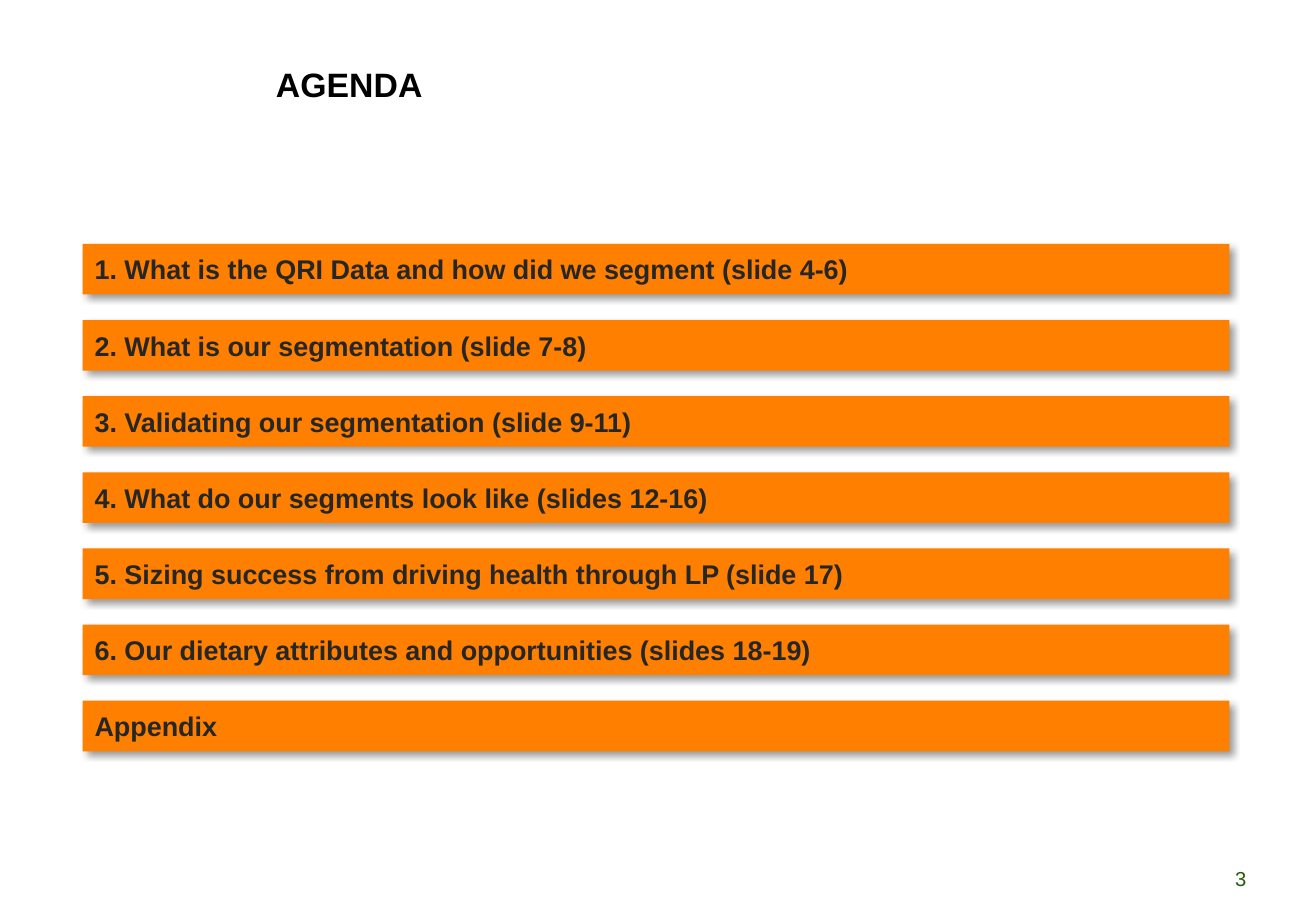
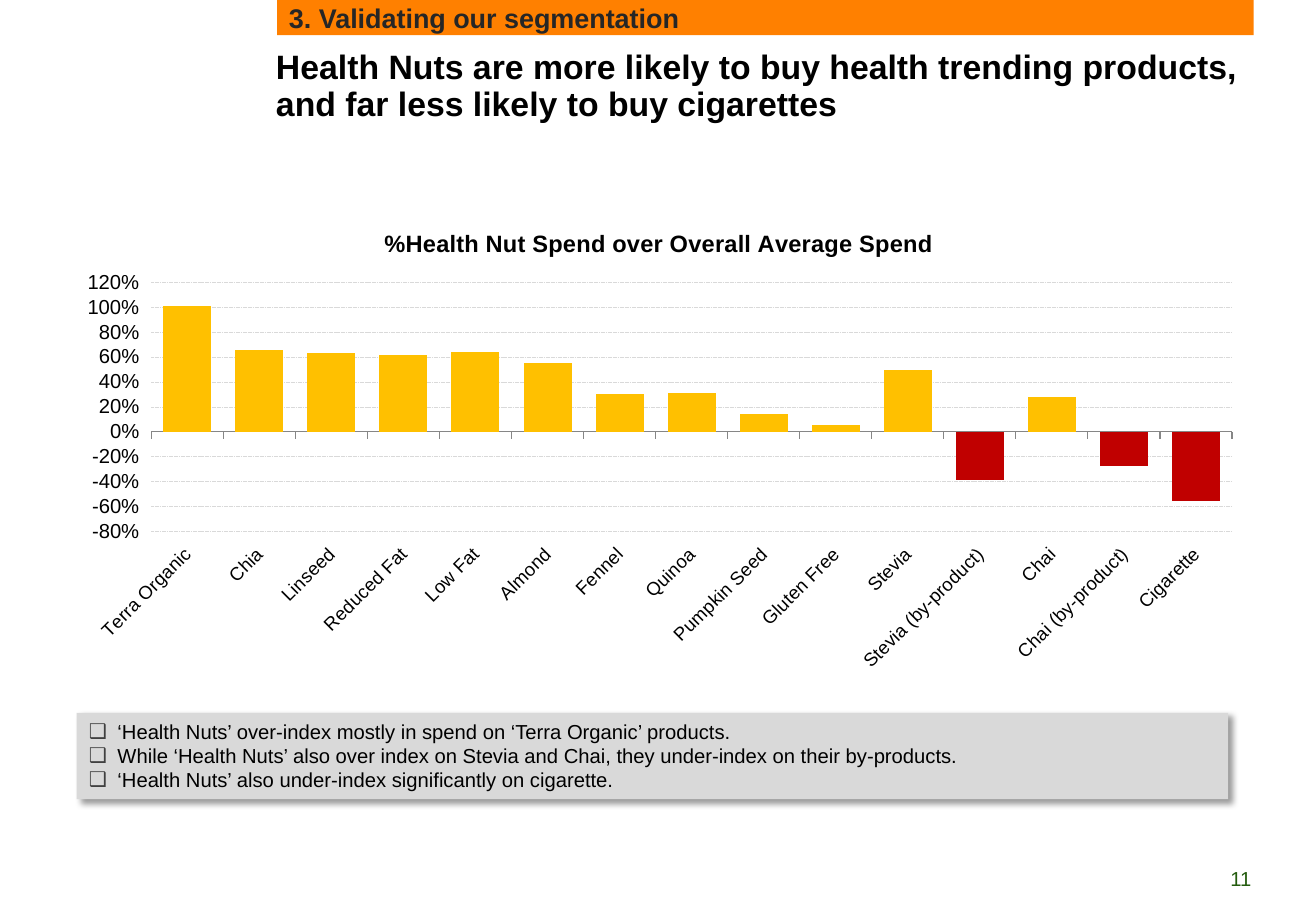
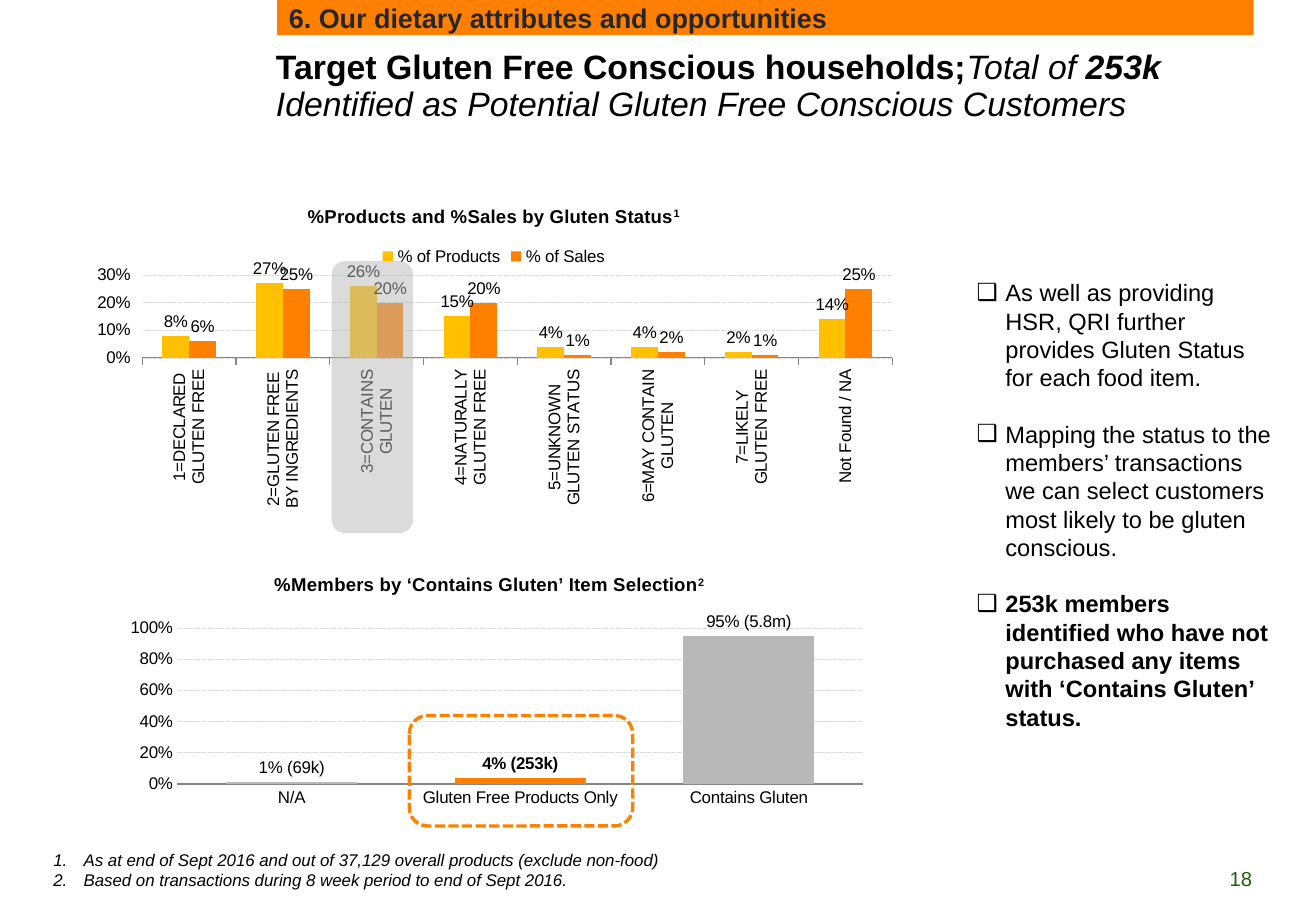
from lxml import etree
from pptx import Presentation
from pptx.chart.data import CategoryChartData
from pptx.dml.color import RGBColor
from pptx.enum.chart import XL_CHART_TYPE, XL_LABEL_POSITION, XL_LEGEND_POSITION
from pptx.enum.chart import XL_TICK_LABEL_POSITION, XL_TICK_MARK
from pptx.enum.dml import MSO_LINE
from pptx.enum.shapes import MSO_SHAPE
from pptx.enum.text import MSO_ANCHOR, MSO_AUTO_SIZE, PP_ALIGN
from pptx.oxml.ns import qn
from pptx.util import Pt

# Enum members
COLUMNS = XL_CHART_TYPE.COLUMN_CLUSTERED
OUTSIDE_END = XL_LABEL_POSITION.OUTSIDE_END
LEGEND_TOP = XL_LEGEND_POSITION.TOP
LABELS_LOW = XL_TICK_LABEL_POSITION.LOW
LABELS_NEXT = XL_TICK_LABEL_POSITION.NEXT_TO_AXIS
TICK_NONE, TICK_OUTSIDE = XL_TICK_MARK.NONE, XL_TICK_MARK.OUTSIDE
DASHED = MSO_LINE.SQUARE_DOT
RECTANGLE, ROUNDED = MSO_SHAPE.RECTANGLE, MSO_SHAPE.ROUNDED_RECTANGLE
TOP, MIDDLE = MSO_ANCHOR.TOP, MSO_ANCHOR.MIDDLE
LEFT, CENTER = PP_ALIGN.LEFT, PP_ALIGN.CENTER
NO_AUTOFIT = MSO_AUTO_SIZE.NONE

# Shared look
FONT = "Arial"
ORANGE, YELLOW, RED = "FF8000", "FFC000", "C00000"
BLACK, CHARCOAL, GREEN = "000000", "262626", "245C0E"
SILVER, LIGHT, AXIS = "B8B8B8", "D9D9D9", "868686"
TITLE_BOX = (163.6, 0, 581.8, 103)
SECTION_BOX = (164.2, 0, 578.9, 20.9)
NUMBER_BOX = (715.3, 513.4, 40.3, 14.4)
TITLE_STYLE = {"size": 20, "color": BLACK, "bold": True}
BAND_STYLE = {"size": 16, "color": CHARCOAL, "bold": True}
NUMBER_STYLE = {"size": 12, "color": GREEN}
TITLE_ONLY, TITLE_AND_BODY = 5, 1
SHADOW = {"blurRad": Pt(4), "dist": Pt(3), "dir": 45 * 60000, "algn": "tl", "rotWithShape": 0}


def rgb(value):
    return RGBColor.from_string(value)


def add_xml(parent, tag, **attributes):
    child = etree.SubElement(parent, qn(tag))
    for name, value in attributes.items():
        child.set(name, str(value))
    return child


# Text
def format_font(font, size=None, color=None, **flags):
    values = {"name": FONT, **flags}
    if size:
        values["size"] = Pt(size)
    for name, value in values.items():
        setattr(font, name, value)
    if color:
        font.color.rgb = rgb(color)


def add_spans(para, spans, style):
    """Spans are one string, or pairs of text and changed format values."""
    if isinstance(spans, str):
        spans = [(spans, {})]
    for text, changes in spans:
        values = {**style, **changes}
        raised = values.pop("raised", False)
        span = para.add_run()
        span.text = text
        format_font(span.font, **values)
        if raised:
            span.font._element.set("baseline", "30000")


def add_bullet(para, bullet, indent, color):
    properties = para._p.get_or_add_pPr()
    properties.set("marL", str(Pt(indent)))
    properties.set("indent", str(-Pt(indent)))
    if color:
        add_xml(add_xml(properties, "a:buClr"), "a:srgbClr", val=color)
    add_xml(properties, "a:buFont", typeface=FONT)
    if bullet == "number":
        add_xml(properties, "a:buAutoNum", type="arabicPeriod")
    else:
        add_xml(properties, "a:buChar", char=bullet)


def write(box, paragraphs, style, anchor=TOP, align=LEFT, inset=True, gap=0,
          spacing=1.0, bullet=None, indent=17, bullet_color=None):
    frame = box.text_frame
    settings = {"word_wrap": True, "auto_size": NO_AUTOFIT, "vertical_anchor": anchor}
    for side in ("left", "right", "top", "bottom"):
        wide = side in ("left", "right")
        settings["margin_" + side] = Pt((7.2 if wide else 3.6) if inset else 0)
    for name, value in settings.items():
        setattr(frame, name, value)
    for index, spans in enumerate(paragraphs):
        para = frame.add_paragraph() if index else frame.paragraphs[0]
        para.alignment = align
        para.line_spacing = spacing
        para.space_before = Pt(gap if index else 0)
        if bullet:
            add_bullet(para, bullet, indent, bullet_color)
        add_spans(para, spans, style)


# Boxes
def place(item, box):
    for name, value in zip(("left", "top", "width", "height"), box):
        setattr(item, name, Pt(value))


def points(box):
    return [Pt(value) for value in box]


def paint(shape, fill=None, shadow=False):
    if fill:
        shape.fill.solid()
        shape.fill.fore_color.rgb = rgb(fill)
    else:
        shape.fill.background()
    shape.line.fill.background()
    shape.shadow.inherit = False
    if shadow:
        effects = shape._element.spPr.find(qn("a:effectLst"))
        color = add_xml(add_xml(effects, "a:outerShdw", **SHADOW), "a:srgbClr", val=BLACK)
        add_xml(color, "a:alpha", val=40000)


def add_band(page, box, text, shadow=False):
    band = page.shapes.add_shape(RECTANGLE, *points(box))
    paint(band, ORANGE, shadow)
    write(band, [text], BAND_STYLE, anchor=MIDDLE)


def add_text(page, box, paragraphs, style, **layout):
    write(page.shapes.add_textbox(*points(box)), paragraphs, style, **layout)


def add_list(page, box, paragraphs, style, fill=None, **layout):
    body = page.placeholders[1]
    place(body, box)
    if fill:
        paint(body, fill, shadow=True)
    write(body, paragraphs, style, bullet="❑", **layout)


def add_veil(page, box):
    veil = page.shapes.add_shape(ROUNDED, *points(box))
    paint(veil, SILVER)
    color = veil._element.spPr.find(".//" + qn("a:srgbClr"))
    add_xml(color, "a:alpha", val=50000)


def add_dashed_frame(page, box):
    frame = page.shapes.add_shape(ROUNDED, *points(box))
    paint(frame)
    frame.line.color.rgb = rgb(ORANGE)
    frame.line.width = Pt(2)
    frame.line.dash_style = DASHED


def add_page(deck, layout, title, number, section=None):
    page = deck.slides.add_slide(deck.slide_layouts[layout])
    place(page.shapes.title, TITLE_BOX)
    write(page.shapes.title, [title], TITLE_STYLE, anchor=MIDDLE, inset=False, spacing=0.9)
    if section:
        add_band(page, SECTION_BOX, section)
    add_text(page, NUMBER_BOX, [str(number)], NUMBER_STYLE,
             anchor=MIDDLE, align=CENTER, inset=False)
    return page


# Charts
def set_plot_area(chart, area):
    plot_area = chart._chartSpace.chart.plotArea
    for old in plot_area.findall(qn("c:layout")):
        plot_area.remove(old)
    layout = etree.Element(qn("c:layout"))
    plot_area.insert(0, layout)
    manual = add_xml(layout, "c:manualLayout")
    add_xml(manual, "c:layoutTarget", val="inner")
    for name in ("xMode", "yMode"):
        add_xml(manual, "c:" + name, val="edge")
    for name, value in zip("xywh", area):
        add_xml(manual, "c:" + name, val=value)


def format_axes(chart, scale, sizes, rotation, ticks, line_width, label_position):
    values, categories = chart.value_axis, chart.category_axis
    low, high, step = scale
    settings = {"minimum_scale": low, "maximum_scale": high, "major_unit": step,
                "major_tick_mark": ticks, "has_major_gridlines": True}
    for name, value in settings.items():
        setattr(values, name, value)
    values.tick_labels.number_format = "0%"
    values.tick_labels.number_format_is_linked = False
    values.format.line.fill.background()
    grid = values.major_gridlines.format.line
    grid.color.rgb = rgb(LIGHT)
    grid.width = Pt(0.25)
    grid.dash_style = DASHED
    categories.major_tick_mark = ticks
    categories.tick_label_position = label_position
    categories.format.line.color.rgb = rgb(AXIS)
    categories.format.line.width = Pt(line_width)
    for axis, size in zip((categories, values), sizes):
        format_font(axis.tick_labels.font, size, BLACK)
    label_body = categories._element.find(qn("c:txPr")).find(qn("a:bodyPr"))
    label_body.set("rot", str(rotation * 60000))
    label_body.set("vert", "horz")


def add_column_chart(page, box, title, categories, series, area, scale, title_size=11,
                     sizes=(10, 10), rotation=0, gap=150, ticks=TICK_OUTSIDE,
                     line_width=0.75, label_position=LABELS_NEXT, labels=False,
                     legend=False):
    """Series are triples of name, values and colour."""
    data = CategoryChartData(number_format="0%")
    data.categories = categories
    for name, values, _ in series:
        data.add_series(name, values)
    chart = page.shapes.add_chart(COLUMNS, *points(box), data).chart
    format_font(chart.font, 10, BLACK)
    chart.has_title = True
    add_spans(chart.chart_title.text_frame.paragraphs[0], title,
              {"size": title_size, "color": BLACK, "bold": True})
    chart.chart_title.include_in_layout = False
    chart.has_legend = legend
    if legend:
        chart.legend.position = LEGEND_TOP
        chart.legend.include_in_layout = False
        format_font(chart.legend.font, 10, BLACK)
    plot = chart.plots[0]
    plot.vary_by_categories = False
    plot.gap_width = gap
    plot.overlap = 0
    for item, (_, _, color) in zip(plot.series, series):
        item.invert_if_negative = False
        item.format.fill.solid()
        item.format.fill.fore_color.rgb = rgb(color)
    if labels:
        plot.has_data_labels = True
        settings = {"show_value": True, "number_format": "0%",
                    "number_format_is_linked": False, "position": OUTSIDE_END}
        for name, value in settings.items():
            setattr(plot.data_labels, name, value)
        format_font(plot.data_labels.font, 10, BLACK)
    format_axes(chart, scale, sizes, rotation, ticks, line_width, label_position)
    set_plot_area(chart, area)
    return plot.series[0]


def color_points(series, indexes, color):
    for index in indexes:
        fill = series.points[index].format.fill
        fill.solid()
        fill.fore_color.rgb = rgb(color)


def label_points(series, texts, bold_index):
    for index, text in enumerate(texts):
        label = series.points[index].data_label
        add_spans(label.text_frame.paragraphs[0], text,
                  {"size": 10, "color": BLACK, "bold": index == bold_index})
        label.position = OUTSIDE_END


# Slides
def build_agenda(deck):
    page = add_page(deck, TITLE_ONLY, "AGENDA", 3)
    topics = ["1. What is the QRI Data and how did we segment (slide 4-6)",
              "2. What is our segmentation (slide 7-8)",
              "3. Validating our segmentation (slide 9-11)",
              "4. What do our segments look like (slides 12-16)",
              "5. Sizing success from driving health through LP (slide 17)",
              "6. Our dietary attributes and opportunities (slides 18-19)",
              "Appendix"]
    for index, topic in enumerate(topics):
        add_band(page, (49, 144.6 + 45.13 * index, 679.7, 30), topic, shadow=True)


def build_validation(deck):
    page = add_page(deck, TITLE_AND_BODY, "Health Nuts are more likely to buy health trending "
                    "products, and far less likely to buy cigarettes", 11,
                    "3. Validating our segmentation")
    products = ["Terra Organic", "Chia", "Linseed", "Reduced Fat", "Low Fat", "Almond",
                "Fennel", "Quinoa", "Pumpkin Seed", "Gluten Free", "Stevia",
                "Stevia (by-product)", "Chai", "Chai (by-product)", "Cigarette"]
    spend = [1.01, 0.66, 0.63, 0.62, 0.64, 0.55, 0.3, 0.31, 0.14, 0.05,
             0.5, -0.39, 0.28, -0.28, -0.56]
    series = add_column_chart(
        page, (37.4, 123.1, 706.3, 280.8), "%Health Nut Spend over Overall Average Spend",
        products, [("Series 1", spend, YELLOW)], area=(0.074, 0.158, 0.907, 0.525),
        scale=(-0.8, 1.2, 0.2), title_size=14, sizes=(11, 12), rotation=-45, gap=50,
        label_position=LABELS_LOW)
    color_points(series, [i for i, value in enumerate(spend) if value < 0], RED)
    add_list(page, (45.4, 422.6, 682.6, 51.1),
             ["‘Health Nuts’ over-index mostly in spend on ‘Terra Organic’ products.",
              "While ‘Health Nuts’ also over index on Stevia and Chai, "
              "they under-index on their by-products.",
              "‘Health Nuts’ also under-index significantly on cigarette."],
             {"size": 12, "color": BLACK}, fill=LIGHT, bullet_color="404040")


def build_gluten(deck):
    plain = {"bold": False, "italic": True}
    title = [("Target Gluten Free Conscious households;", {}), ("Total of ", plain),
             ("253k", {"italic": True}),
             (" Identified as Potential Gluten Free Conscious Customers", plain)]
    page = add_page(deck, TITLE_AND_BODY, title, 18,
                    "6. Our dietary attributes and opportunities")
    # Gluten status: upright labels do not wrap by themselves, so each has its line break
    statuses = ["1=DECLARED\nGLUTEN FREE", "2=GLUTEN FREE\nBY INGREDIENTS",
                "3=CONTAINS\nGLUTEN", "4=NATURALLY\nGLUTEN FREE",
                "5=UNKNOWN\nGLUTEN STATUS", "6=MAY CONTAIN\nGLUTEN",
                "7=LIKELY\nGLUTEN FREE", "Not Found / NA"]
    shares = [("% of Products", [0.08, 0.27, 0.26, 0.15, 0.04, 0.04, 0.02, 0.14], YELLOW),
              ("% of Sales", [0.06, 0.25, 0.2, 0.2, 0.01, 0.02, 0.01, 0.25], ORANGE)]
    add_column_chart(
        page, (47.5, 110.2, 490.3, 211),
        [("%Products and %Sales by Gluten Status", {}), ("1", {"raised": True})],
        statuses, shares, area=(0.075, 0.25, 0.907, 0.233), scale=(0, 0.3, 0.1),
        rotation=-90, labels=True, legend=True)
    add_veil(page, (196.6, 154.8, 48.2, 161.3))
    # Members by selection
    members = add_column_chart(
        page, (55.4, 329.8, 469.4, 156.2),
        [("%Members by ‘Contains Gluten’ Item Selection", {}), ("2", {"raised": True})],
        ["N/A", "Gluten Free Products Only", "Contains Gluten"],
        [("Series 1", [0.01, 0.04, 0.95], SILVER)], area=(0.106, 0.271, 0.866, 0.593),
        scale=(0, 1, 0.2), gap=75, ticks=TICK_NONE, line_width=1.5, labels=True)
    color_points(members, [1], ORANGE)
    label_points(members, ["1% (69k)", "4% (253k)", "95% (5.8m)"], bold_index=1)
    add_dashed_frame(page, (242.6, 424.1, 132.5, 65.5))
    # Findings and footnotes
    add_list(page, (578.9, 164.9, 177.8, 273.6),
             ["As well as providing HSR, QRI further provides Gluten Status for each food item.",
              "Mapping the status to the members’ transactions we can select customers "
              "most likely to be gluten conscious.",
              [("253k members identified who have not purchased any items with "
                "‘Contains Gluten’ status.", {"bold": True})]],
             {"size": 14, "color": BLACK}, inset=False, gap=16.5)
    add_text(page, (24.5, 500, 421.2, 31.7),
             ["As at end of Sept 2016 and out of 37,129 overall products (exclude non-food)",
              "Based on transactions during 8 week period to end of Sept 2016."],
             {"size": 10, "color": BLACK, "italic": True}, bullet="number", indent=18)


def main():
    deck = Presentation()
    deck.slide_width, deck.slide_height = Pt(780), Pt(540)
    build_agenda(deck)
    build_validation(deck)
    build_gluten(deck)
    deck.save("out.pptx")


if __name__ == "__main__":
    main()
